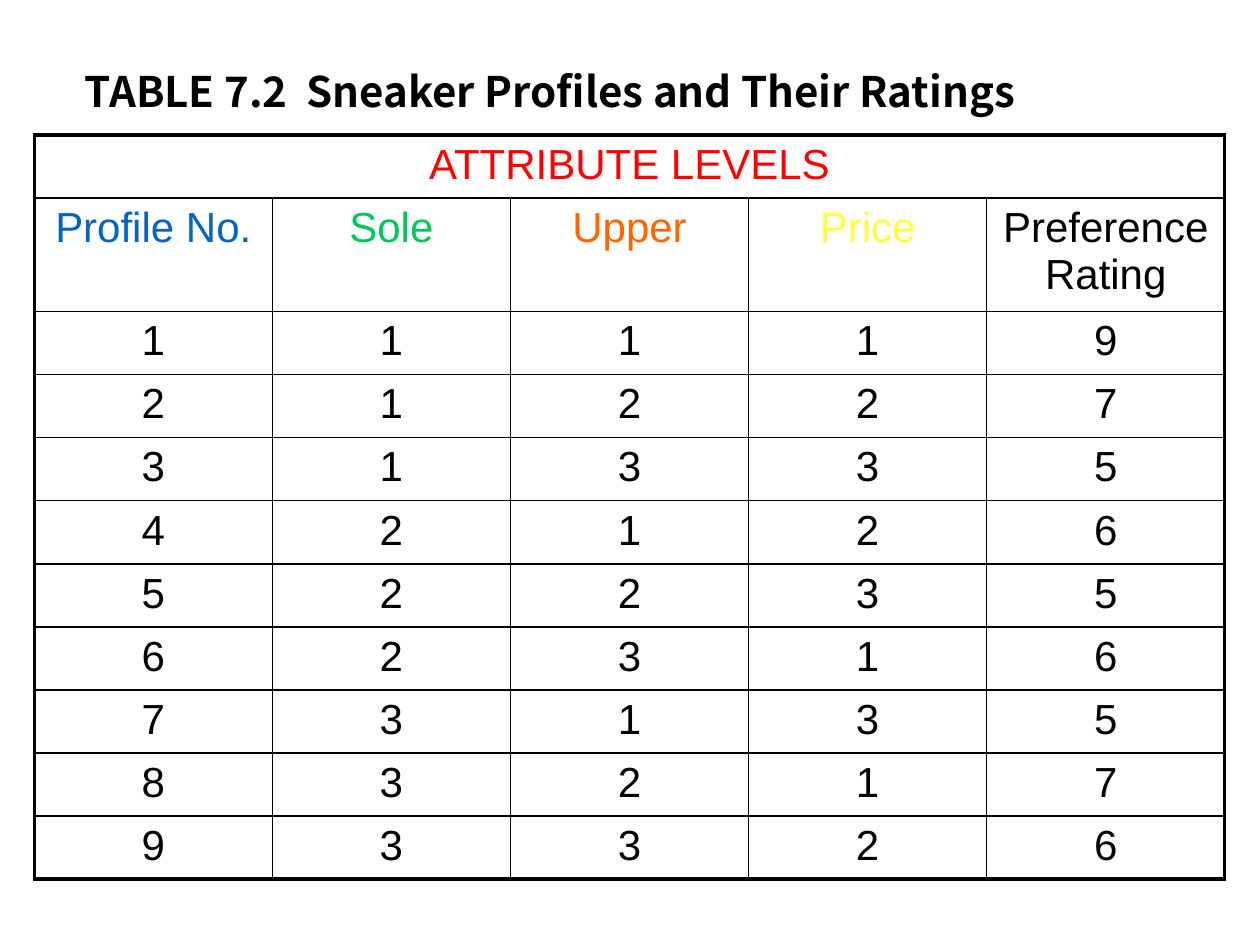
from lxml.etree import SubElement
from pptx import Presentation
from pptx.dml.color import RGBColor
from pptx.enum.text import PP_ALIGN as Align
from pptx.oxml.ns import qn
from pptx.util import Cm, Pt

BLACK = RGBColor(0x00, 0x00, 0x00)
RED = RGBColor(0xFF, 0x00, 0x00)
BLUE = RGBColor(0x05, 0x63, 0xC1)
GREEN = RGBColor(0x00, 0xC6, 0x5A)
ORANGE = RGBColor(0xFF, 0x66, 0x00)
YELLOW = RGBColor(0xFF, 0xFF, 0x3F)

THIN, THICK = Pt(1), Pt(2.25)
ROW_HEIGHT, HEADING_HEIGHT, COLUMN_WIDTH = Cm(1.27), Cm(2.29), Cm(4.8)

HEADINGS = [("Profile No.", BLUE), ("Sole", GREEN), ("Upper", ORANGE),
            ("Price", YELLOW), ("Preference Rating", BLACK)]
# Profile number, sole, upper, price, preference rating
PROFILES = [
    (1, 1, 1, 1, 9),
    (2, 1, 2, 2, 7),
    (3, 1, 3, 3, 5),
    (4, 2, 1, 2, 6),
    (5, 2, 2, 3, 5),
    (6, 2, 3, 1, 6),
    (7, 3, 1, 3, 5),
    (8, 3, 2, 1, 7),
    (9, 3, 3, 2, 6),
]


def write(para, text, font="Arial", size=24, color=BLACK, bold=False, align=Align.LEFT):
    para.alignment = align
    span = para.add_run()
    span.text = text
    span.font.name = font
    span.font.size = Pt(size)
    span.font.bold = bold
    span.font.color.rgb = color


def add_title(page, text):
    box = page.shapes.add_textbox(Cm(1.27), Cm(1.32), Cm(22.86), Cm(15.62))
    frame = box.text_frame
    frame.word_wrap = True
    frame.margin_left = Cm(0.44)
    para = frame.paragraphs[0]
    para.line_spacing = 0.9
    para.space_before = Pt(7.5)
    write(para, text, font="Noto Sans CJK SC", bold=True)


def set_borders(cell, **widths):
    """Draw solid black borders; sides come in the order L, R, T, B."""
    properties = cell._tc.get_or_add_tcPr()
    for side, width in widths.items():
        line = SubElement(properties, qn(f"a:ln{side}"), w=str(width))
        fill = SubElement(line, qn("a:solidFill"))
        SubElement(fill, qn("a:srgbClr"), val=str(BLACK))


def add_table(page, rows):
    row_count, column_count = len(rows), len(HEADINGS)
    table = page.shapes.add_table(
        row_count, column_count, Cm(0.69), Cm(2.72), COLUMN_WIDTH * column_count,
        ROW_HEIGHT * (row_count - 1) + HEADING_HEIGHT).table
    table.first_row = table.horz_banding = False
    for column in table.columns:
        column.width = COLUMN_WIDTH
    for index, row in enumerate(table.rows):
        row.height = HEADING_HEIGHT if index == 1 else ROW_HEIGHT
    table.cell(0, 0).merge(table.cell(0, column_count - 1))

    # Text, and borders that are thick around the outside
    for y, entries in enumerate(rows):
        for x in range(column_count):
            cell = table.cell(y, x)
            at_right = y == 0 or x == column_count - 1
            set_borders(cell,
                        L=THICK if x == 0 else THIN,
                        R=THICK if at_right else THIN,
                        T=THICK if y == 0 else THIN,
                        B=THICK if y == row_count - 1 else THIN)
            cell.fill.background()
            if x < len(entries):
                text, color = entries[x]
                write(cell.text_frame.paragraphs[0], text, color=color, align=Align.CENTER)


def main():
    deck = Presentation()
    deck.slide_width, deck.slide_height = Cm(25.4), Cm(19.05)
    page = deck.slides.add_slide(deck.slide_layouts[6])

    add_title(page, "TABLE 7.2  Sneaker Profiles and Their Ratings")
    ratings = [[(str(value), BLACK) for value in profile] for profile in PROFILES]
    add_table(page, [[("ATTRIBUTE LEVELS", RED)], HEADINGS, *ratings])

    deck.save("out.pptx")


if __name__ == "__main__":
    main()
